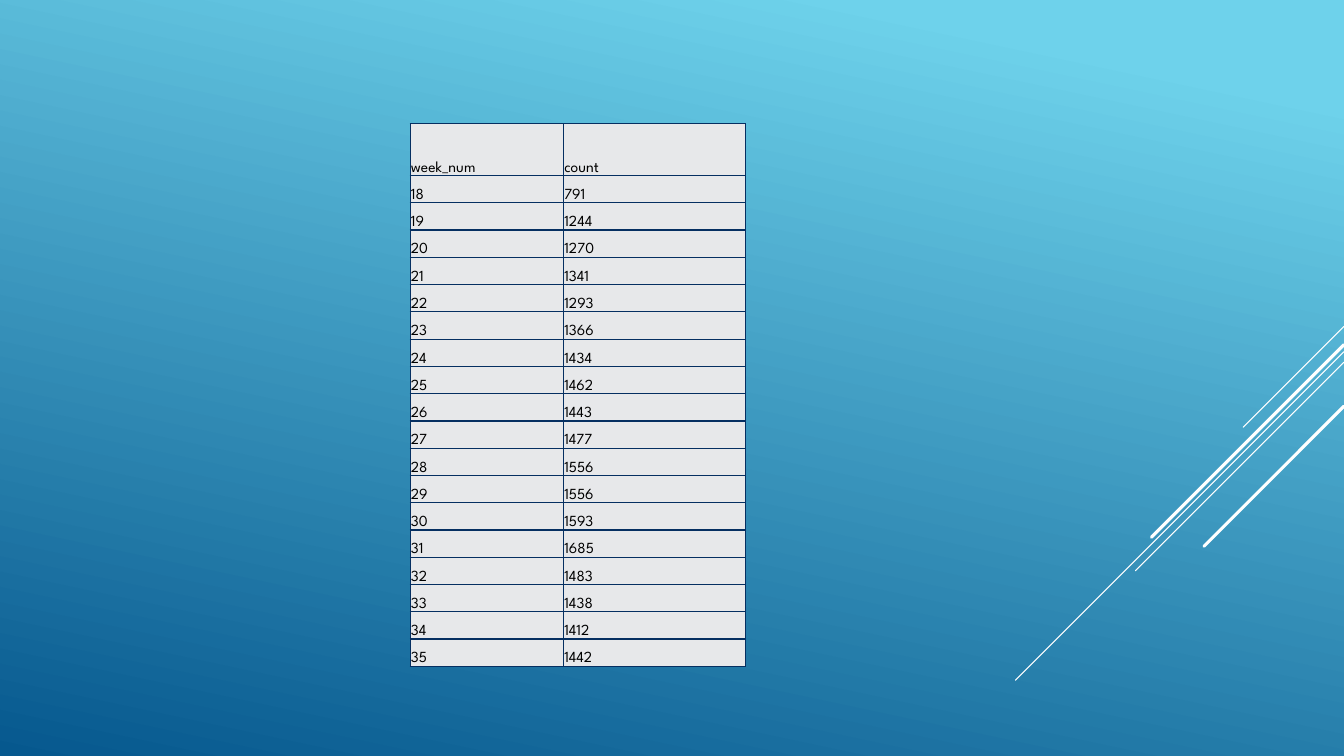
from lxml.etree import SubElement
from pptx import Presentation
from pptx.dml.color import RGBColor
from pptx.enum.shapes import MSO_CONNECTOR
from pptx.enum.text import MSO_ANCHOR
from pptx.oxml.ns import qn
from pptx.util import Pt

SKY = RGBColor(0x6E, 0xD2, 0xEB)
DEEP_BLUE = RGBColor(0x06, 0x58, 0x8E)
NAVY = RGBColor(0x05, 0x2F, 0x61)
PALE_GRAY = RGBColor(0xE7, 0xE8, 0xEA)
BLACK = RGBColor(0, 0, 0)
WHITE = RGBColor(0xFF, 0xFF, 0xFF)

PAGE_WIDTH, PAGE_HEIGHT = 960, 540
HEADINGS = ("week_num", "count")
FIRST_WEEK = 18
COUNTS = (791, 1244, 1270, 1341, 1293, 1366, 1434, 1462, 1443,
          1477, 1556, 1556, 1593, 1685, 1483, 1438, 1412, 1442)
COLUMN_WIDTHS = (109.6, 130)
HEADING_HEIGHT, ROW_HEIGHT = 37, 19.5
CELL_FORMAT = {
    "margin_left": Pt(0.5),
    "margin_right": Pt(0.5),
    "margin_top": Pt(0.5),
    "margin_bottom": 0,
    "vertical_anchor": MSO_ANCHOR.BOTTOM,
}
FONT_FORMAT = {"name": "League Spartan", "size": Pt(11), "bold": False}
# Drop below the top of the streak area, reach to the left, line width
STREAKS = ((0, 72, 0.75), (18, 234.7, 0.75), (25.5, 149, 0.75),
           (13, 137.5, 2.25), (57, 100, 2.25))


def apply_format(target, values):
    for name, value in values.items():
        setattr(target, name, value)


def paint_background(page):
    fill = page.background.fill
    fill.gradient()
    fill.gradient_angle = 258
    for stop, color, position in zip(fill.gradient_stops, (SKY, DEEP_BLUE), (0.1, 1)):
        stop.color.rgb = color
        stop.position = position


def draw_streaks(page, right, top):
    """Draw 45-degree lines that run down and left from the right edge."""
    group = page.shapes.add_group_shape()
    for drop, reach, width in STREAKS:
        start = top + drop
        streak = group.shapes.add_connector(
            MSO_CONNECTOR.STRAIGHT,
            Pt(right), Pt(start), Pt(right - reach), Pt(start + reach))
        streak.line.color.rgb = WHITE
        streak.line.width = Pt(width)
        properties = streak.line._get_or_add_ln()
        properties.set("cap", "rnd")
        SubElement(properties.getparent(), qn("a:effectLst"))


def add_borders(cell, color, width):
    properties = cell._tc.get_or_add_tcPr()
    for side in ("lnL", "lnR", "lnT", "lnB"):
        border = SubElement(properties, qn(f"a:{side}"), w=str(Pt(width)))
        fill = SubElement(border, qn("a:solidFill"))
        SubElement(fill, qn("a:srgbClr"), val=str(color))


def fill_cell(cell, text):
    add_borders(cell, NAVY, 1)
    cell.fill.solid()
    cell.fill.fore_color.rgb = PALE_GRAY
    apply_format(cell, CELL_FORMAT)
    span = cell.text_frame.paragraphs[0].add_run()
    span.text = str(text)
    apply_format(span.font, FONT_FORMAT)
    span.font.color.rgb = BLACK


def add_week_table(page, left, top):
    records = [HEADINGS, *enumerate(COUNTS, FIRST_WEEK)]
    height = HEADING_HEIGHT + ROW_HEIGHT * len(COUNTS)
    table = page.shapes.add_table(
        len(records), len(HEADINGS), Pt(left), Pt(top),
        Pt(sum(COLUMN_WIDTHS)), Pt(height)).table
    table.horz_banding = False
    for column, width in zip(table.columns, COLUMN_WIDTHS):
        column.width = Pt(width)
    for index, (row, record) in enumerate(zip(table.rows, records)):
        row.height = Pt(ROW_HEIGHT if index else HEADING_HEIGHT)
        for cell, value in zip(row.cells, record):
            fill_cell(cell, value)


def main():
    deck = Presentation()
    deck.slide_width, deck.slide_height = Pt(PAGE_WIDTH), Pt(PAGE_HEIGHT)
    page = deck.slides.add_slide(deck.slide_layouts[6])
    paint_background(page)
    draw_streaks(page, PAGE_WIDTH, 233.2)
    add_week_table(page, 293, 88.4)
    deck.save("out.pptx")


if __name__ == "__main__":
    main()
